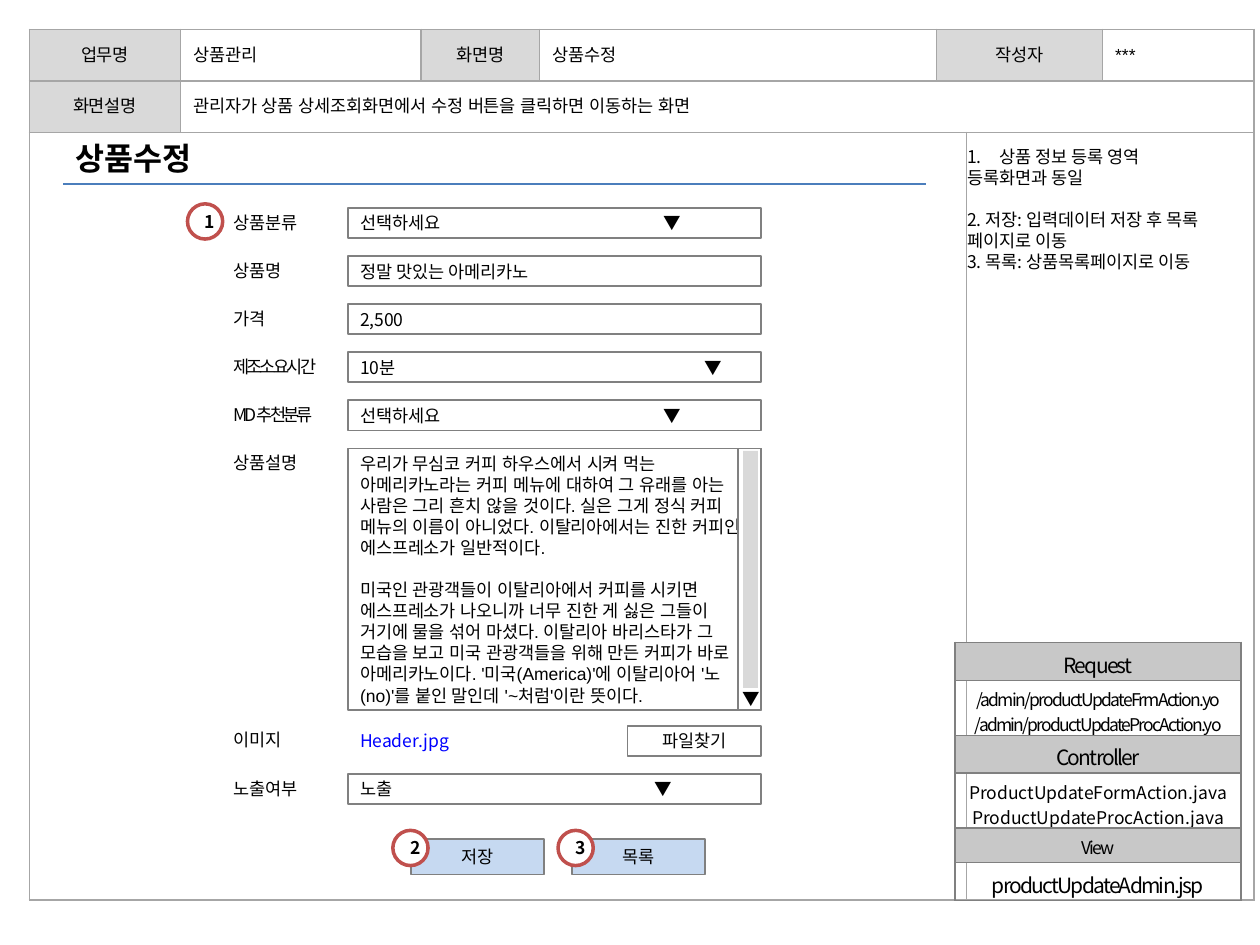
import pptx
import pptx.dml.color
import pptx.enum.shapes
import pptx.enum.text
import pptx.oxml
import pptx.oxml.ns
import pptx.util
import lxml.etree

Cm = pptx.util.Cm
Pt = pptx.util.Pt
RGBColor = pptx.dml.color.RGBColor
ALIGN = pptx.enum.text.PP_ALIGN
ANCHOR = pptx.enum.text.MSO_ANCHOR
SHAPE = pptx.enum.shapes.MSO_SHAPE
qn = pptx.oxml.ns.qn

BLACK = RGBColor(0x00, 0x00, 0x00)
WHITE = RGBColor(0xFF, 0xFF, 0xFF)
GRAY = RGBColor(0x80, 0x80, 0x80)
FRAME_GRAY = RGBColor(0xA6, 0xA6, 0xA6)
LABEL_GRAY = RGBColor(0xD9, 0xD9, 0xD9)
HEADING_GRAY = RGBColor(0xC8, 0xC8, 0xC8)
RULE_BLUE = RGBColor(0x4B, 0x7E, 0xBC)
BUTTON_BLUE = RGBColor(0xC6, 0xD9, 0xF1)
FILE_BLUE = RGBColor(0x00, 0x00, 0xFF)
MARKER_RED = RGBColor(0xC0, 0x50, 0x4D)
SANS = "Noto Sans CJK KR"
ARIAL = "Arial"


def add_run(paragraph, text, size=10, font=SANS, color=BLACK, bold=False, spacing=0):
    run = paragraph.add_run()
    run.text = text
    run.font.size = Pt(size)
    run.font.name = font
    run.font.bold = bold
    run.font.color.rgb = color
    properties = run.font._element
    if spacing:
        properties.set("spc", str(int(spacing * 100)))
    lxml.etree.SubElement(properties, qn("a:ea")).set("typeface", font)


def write(frame, lines, align=ALIGN.LEFT, **style):
    """Write one paragraph per line and return the paragraphs."""
    for index, line in enumerate(lines):
        paragraph = frame.paragraphs[0] if index == 0 else frame.add_paragraph()
        paragraph.alignment = align
        add_run(paragraph, line, **style)
    return frame.paragraphs


def add_text(slide, box, lines, wrap=True, anchor=ANCHOR.TOP, **style):
    frame = slide.shapes.add_textbox(*map(Cm, box)).text_frame
    frame.word_wrap = wrap
    frame.vertical_anchor = anchor
    return write(frame, lines, **style)


def add_box(slide, box, lines=(), kind=SHAPE.RECTANGLE, fill=WHITE, line=GRAY, weight=1, **style):
    shape = slide.shapes.add_shape(kind, *map(Cm, box))
    shape.shadow.inherit = False
    shape.fill.solid()
    shape.fill.fore_color.rgb = fill
    if line is None:
        shape.line.fill.background()
    else:
        shape.line.color.rgb = line
        shape.line.width = Pt(weight)
    shape.text_frame.vertical_anchor = ANCHOR.MIDDLE
    return write(shape.text_frame, lines, **style)


def add_marker(slide, left, top, number):
    add_box(slide, (left, top, 0.71, 0.71), [number], kind=SHAPE.OVAL,
            line=MARKER_RED, weight=2, align=ALIGN.CENTER, bold=True)


def add_grid(slide, box, widths, heights, border):
    """Add a plain table whose cells all have the same border."""
    table = slide.shapes.add_table(len(heights), len(widths), *map(Cm, box)).table
    table.first_row = table.horz_banding = False
    for column, width in zip(table.columns, widths):
        column.width = Cm(width)
    for row, height in zip(table.rows, heights):
        row.height = Cm(height)
    for cell in table.iter_cells():
        cell.vertical_anchor = ANCHOR.MIDDLE
        properties = cell._tc.get_or_add_tcPr()
        for side in ("a:lnL", "a:lnR", "a:lnT", "a:lnB"):
            edge = lxml.etree.SubElement(properties, qn(side), w=str(Pt(1)))
            fill = lxml.etree.SubElement(edge, qn("a:solidFill"))
            lxml.etree.SubElement(fill, qn("a:srgbClr"), val=str(border))
        cell.fill.background()
    return table


def fill_cell(cell, color):
    cell.fill.solid()
    cell.fill.fore_color.rgb = color


def draw_frame(slide, box):
    """Screen information on top, work area and notes area below."""
    table = add_grid(slide, box, (3.05, 4.85, 2.39, 8.0, 0.33, 2.74, 3.05),
                     (1.04, 1.04, 15.47), FRAME_GRAY)
    for row, first, last in ((0, 4, 5), (1, 1, 6), (2, 0, 4), (2, 5, 6)):
        table.cell(row, first).merge(table.cell(row, last))
    labels = {(0, 0): "업무명", (0, 2): "화면명", (0, 4): "작성자", (1, 0): "화면설명"}
    values = {(0, 1): "상품관리", (0, 3): "상품수정", (0, 6): "***",
              (1, 1): "관리자가 상품 상세조회화면에서 수정 버튼을 클릭하면 이동하는 화면"}
    for position, text in labels.items():
        fill_cell(table.cell(*position), LABEL_GRAY)
        write(table.cell(*position).text_frame, [text], align=ALIGN.CENTER, font=ARIAL)
    for position, text in values.items():
        write(table.cell(*position).text_frame, [text], font=ARIAL)
    for column in (0, 5):
        fill_cell(table.cell(2, column), WHITE)


def draw_title(slide, box):
    left, top, width, height = box
    add_text(slide, (left, top, 3.07, height), ["상품수정"], wrap=False, size=18, bold=True)
    rule = slide.shapes.add_connector(pptx.enum.shapes.MSO_CONNECTOR.STRAIGHT,
                                      *map(Cm, (left, top + height, left + width, top + height)))
    rule.line.color.rgb = RULE_BLUE
    rule.line.width = Pt(0.75)
    lxml.etree.SubElement(rule._element.spPr, qn("a:effectLst"))


def draw_description(slide, box):
    """Text area with its scroll bar."""
    left, top, width, height = box
    paragraphs = add_box(slide, box, [
        "우리가 무심코 커피 하우스에서 시켜 먹는 아메리카노라는 커피 메뉴에 대하여 그 유래를 아는 "
        "사람은 그리 흔치 않을 것이다. 실은 그게 정식 커피 메뉴의 이름이 아니었다. "
        "이탈리아에서는 진한 커피인 에스프레소가 일반적이다.",
        "미국인 관광객들이 이탈리아에서 커피를 시키면 에스프레소가 나오니까 너무 진한 게 싫은 "
        "그들이 거기에 물을 섞어 마셨다. 이탈리아 바리스타가 그 모습을 보고 미국 관광객들을 위해 "
        "만든 커피가 바로 아메리카노이다. '미국(America)'에 이탈리아어 '노(no)'를 붙인 말인데 "
        "'~처럼'이란 뜻이다."], font=ARIAL)
    paragraphs[1].space_before = Pt(12)
    bar = left + width - 0.46
    add_box(slide, (bar, top, 0.46, height))
    add_text(slide, (bar - 0.17, top + height - 0.48, 0.79, 0.48), ["▼"], anchor=ANCHOR.MIDDLE)
    add_box(slide, (bar + 0.1, top + 0.05, 0.3, 4.78), fill=LABEL_GRAY, line=None)


def draw_form(slide, box):
    """Labels on the left, fields on the right; a tab sets each drop-down arrow."""
    left, top, width, height = box
    field_left, field_width, field_height = left + 2.56, width - 2.56, 0.61
    pitch, area_height, gap = 0.97, 5.28, 0.31
    image_top = top + 5 * pitch + area_height + gap
    tops = [top + index * pitch for index in range(6)] + [image_top, image_top + pitch]
    rows = (("상품분류", 0, "선택하세요", 6.12), ("상품명", 0, "정말 맛있는 아메리카노", None),
            ("가격", 0, "2,500", None), ("제조소요시간", -1.5, "10분", 6.95),
            ("MD추천분류", -1.5, "선택하세요", 6.12), ("상품설명", 0, None, None),
            ("이미지", 0, None, None), ("노출여부", 0, "노출", 5.94))
    for row_top, (label, spacing, value, arrow) in zip(tops, rows):
        add_text(slide, (left, row_top - 0.05, 3.48, 0.67), [label], spacing=spacing)
        if value is None:
            continue
        field = (field_left, row_top, field_width, field_height)
        paragraph = add_box(slide, field, [value])[0]
        if arrow:
            stops = lxml.etree.SubElement(paragraph._p.get_or_add_pPr(), qn("a:tabLst"))
            lxml.etree.SubElement(stops, qn("a:tab"), pos=str(Cm(arrow)), algn="l")
            add_run(paragraph, "\t▼")
    draw_description(slide, (field_left, tops[5], field_width, area_height))
    add_box(slide, (field_left, image_top, 5.23, field_height), ["Header.jpg"],
            line=None, color=FILE_BLUE)
    add_box(slide, (field_left + field_width - 2.69, image_top, 2.69, field_height),
            ["파일찾기"], align=ALIGN.CENTER)
    add_marker(slide, left - 0.67, top - 0.08, "1")


def draw_buttons(slide, box):
    left, top, width, height = box
    button_width = 2.69
    buttons = (("저장", "2", left, 0.36), ("목록", "3", left + width - button_width, 0.28))
    for label, number, button_left, overlap in buttons:
        add_box(slide, (button_left, top, button_width, height), [label],
                fill=BUTTON_BLUE, align=ALIGN.CENTER)
        add_marker(slide, button_left - overlap, top - 0.18, number)


def draw_notes(slide, box):
    paragraphs = add_text(slide, box, [
        "상품 정보 등록 영역", "등록화면과 동일",
        "2. 저장: 입력데이터 저장 후 목록 페이지로 이동", "3. 목록: 상품목록페이지로 이동"])
    numbered = paragraphs[0]._p.get_or_add_pPr()
    numbered.set("marL", str(Cm(0.64)))
    numbered.set("indent", str(-Cm(0.64)))
    lxml.etree.SubElement(numbered, qn("a:buAutoNum"), type="arabicPeriod")
    paragraphs[2].space_before = Pt(12)


def draw_mapping(slide, box):
    """Request, controller and view of this screen, as heading and content rows."""
    rows = ((["Request"], 0.76, 12, -1),
            (["/admin/productUpdateFrmAction.yo", "/admin/productUpdateProcAction.yo"], 1.11, 10, -1),
            (["Controller"], 0.75, 12, -1),
            (["ProductUpdateFormAction.java", "ProductUpdateProcAction.java"], 1.11, 10, 0),
            (["View"], 0.69, 10, -1), (["productUpdateAdmin.jsp"], 0.74, 12, -1))
    table = add_grid(slide, box, [box[2]], [row[1] for row in rows], GRAY)
    for index, (lines, _, size, spacing) in enumerate(rows):
        cell = table.cell(index, 0)
        cell.margin_left = cell.margin_right = 0
        if index % 2 == 0:
            fill_cell(cell, HEADING_GRAY)
        write(cell.text_frame, lines, align=ALIGN.CENTER, size=size, spacing=spacing)


def main():
    presentation = pptx.Presentation()
    presentation.slide_width, presentation.slide_height = Cm(25.4), Cm(19.05)
    slide = presentation.slides.add_slide(presentation.slide_layouts[6])
    draw_frame(slide, (0.59, 0.59, 24.41, 17.55))
    draw_title(slide, (1.27, 2.67, 17.4, 1.04))
    draw_form(slide, (4.45, 4.19, 10.89, 12.0))
    draw_buttons(slide, (8.28, 16.92, 5.94, 0.71))
    draw_notes(slide, (19.25, 2.82, 5.77, 2.82))
    draw_mapping(slide, (19.25, 12.95, 5.77, 5.16))
    presentation.save("out.pptx")


if __name__ == "__main__":
    main()
